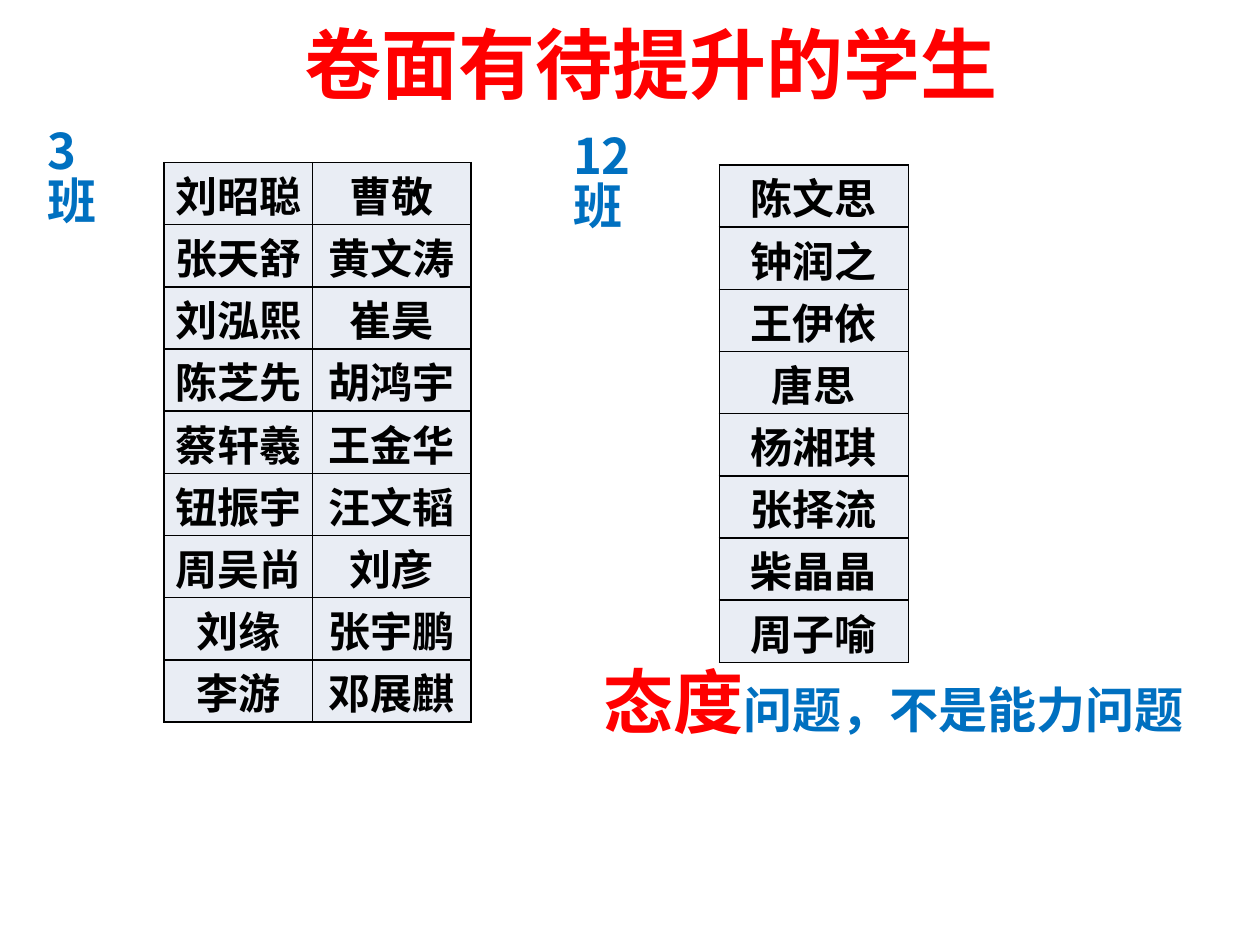
import pptx
import pptx.util
from lxml import etree
from pptx.dml.color import RGBColor
from pptx.enum.text import MSO_ANCHOR, MSO_AUTO_SIZE, PP_ALIGN
from pptx.oxml.ns import qn

Pt = pptx.util.Pt

RED = RGBColor(0xFF, 0x00, 0x00)
BLUE = RGBColor(0x00, 0x70, 0xC0)
BLACK = RGBColor(0x00, 0x00, 0x00)
PALE = RGBColor(0xE9, 0xED, 0xF4)
FONT = "Noto Sans CJK SC"

# Content: boxes are (left, top, width, height) in points
TITLE = ("卷面有待提升的学生", 44, RED)
TITLE_BOX = (48, 0, 648, 71.5)

ROSTERS = [
    {
        "box": (93.6, 92.9, 175.7, 265.7),
        "columns": (85, 90.7),
        "row_height": 15.3,
        "names": [
            ("刘昭聪", "曹敬"),
            ("张天舒", "黄文涛"),
            ("刘泓熙", "崔昊"),
            ("陈芝先", "胡鸿宇"),
            ("蔡轩羲", "王金华"),
            ("钮振宇", "汪文韬"),
            ("周吴尚", "刘彦"),
            ("刘缘", "张宇鹏"),
            ("李游", "邓展麒"),
        ],
    },
    {
        "box": (411.1, 94.3, 108, 236.2),
        "columns": (108,),
        "row_height": 15.8,
        "names": [
            ("陈文思",), ("钟润之",), ("王伊依",), ("唐思",),
            ("杨湘琪",), ("张择流",), ("柴晶晶",), ("周子喻",),
        ],
    },
]

# Captions: box, right inset, line spacing, runs
CAPTIONS = [
    ((20.2, 70.6, 60.5, 41), 20, 0.85, [("3班", 28, BLUE)]),
    ((320.4, 73.4, 77.8, 41), 20, 0.85, [("12班", 28, BLUE)]),
    ((337.7, 378, 350, 55.4), 0, 0.9,
     [("态度", 40, RED), ("问题，不是能力问题", 28, BLUE)]),
]

CELL_FORMAT = {
    "margin_left": Pt(0.7),
    "margin_right": Pt(0.7),
    "margin_top": Pt(0.7),
    "margin_bottom": 0,
    "vertical_anchor": MSO_ANCHOR.BOTTOM,
}
TABLE_FORMAT = {"first_row": False, "horz_banding": False}


def apply(target, values):
    for name, value in values.items():
        setattr(target, name, value)


def place(shape, box):
    apply(shape, dict(zip(("left", "top", "width", "height"), map(Pt, box))))


def add_run(paragraph, text, size, color):
    run = paragraph.add_run()
    run.text = text
    apply(run.font, {"size": Pt(size), "bold": True, "name": FONT})
    run.font.color.rgb = color
    latin = run.font._element.find(qn("a:latin"))
    latin.addnext(latin.makeelement(qn("a:ea"), {"typeface": FONT}))


def add_borders(cell):
    properties = cell._tc.get_or_add_tcPr()
    for side in ("a:lnL", "a:lnR", "a:lnT", "a:lnB"):
        line = etree.SubElement(properties, qn(side), w=str(Pt(1)))
        fill = etree.SubElement(line, qn("a:solidFill"))
        etree.SubElement(fill, qn("a:srgbClr"), val=str(BLACK))


def add_roster(slide, roster):
    names, columns = roster["names"], roster["columns"]
    frame = slide.shapes.add_table(
        len(names), len(columns), *map(Pt, roster["box"]))
    table = frame.table
    apply(table, TABLE_FORMAT)
    for column, width in zip(table.columns, columns):
        column.width = Pt(width)
    for row, row_names in zip(table.rows, names):
        row.height = Pt(roster["row_height"])
        for cell, name in zip(row.cells, row_names):
            apply(cell, CELL_FORMAT)
            add_borders(cell)
            cell.fill.solid()
            cell.fill.fore_color.rgb = PALE
            paragraph = cell.text_frame.paragraphs[0]
            paragraph.alignment = PP_ALIGN.CENTER
            add_run(paragraph, name, 24, BLACK)
    # Rows grow to fit their text inside this frame
    place(frame, roster["box"])


def add_caption(slide, box, right_inset, spacing, runs):
    frame = slide.shapes.add_textbox(*map(Pt, box)).text_frame
    apply(frame, {
        "word_wrap": True,
        "auto_size": MSO_AUTO_SIZE.NONE,
        "margin_right": Pt(right_inset),
    })
    paragraph = frame.paragraphs[0]
    paragraph.line_spacing = spacing
    for run in runs:
        add_run(paragraph, *run)


def main():
    deck = pptx.Presentation()
    apply(deck, {"slide_width": Pt(720), "slide_height": Pt(540)})
    slide = deck.slides.add_slide(deck.slide_layouts[5])

    # Title
    title = slide.shapes.title
    place(title, TITLE_BOX)
    apply(title.text_frame, {
        "vertical_anchor": MSO_ANCHOR.MIDDLE,
        "auto_size": MSO_AUTO_SIZE.NONE,
    })
    heading = title.text_frame.paragraphs[0]
    heading.alignment = PP_ALIGN.CENTER
    add_run(heading, *TITLE)

    # Class rosters
    for roster in ROSTERS:
        add_roster(slide, roster)

    # Class labels and closing remark
    for caption in CAPTIONS:
        add_caption(slide, *caption)

    deck.save("out.pptx")


if __name__ == "__main__":
    main()
